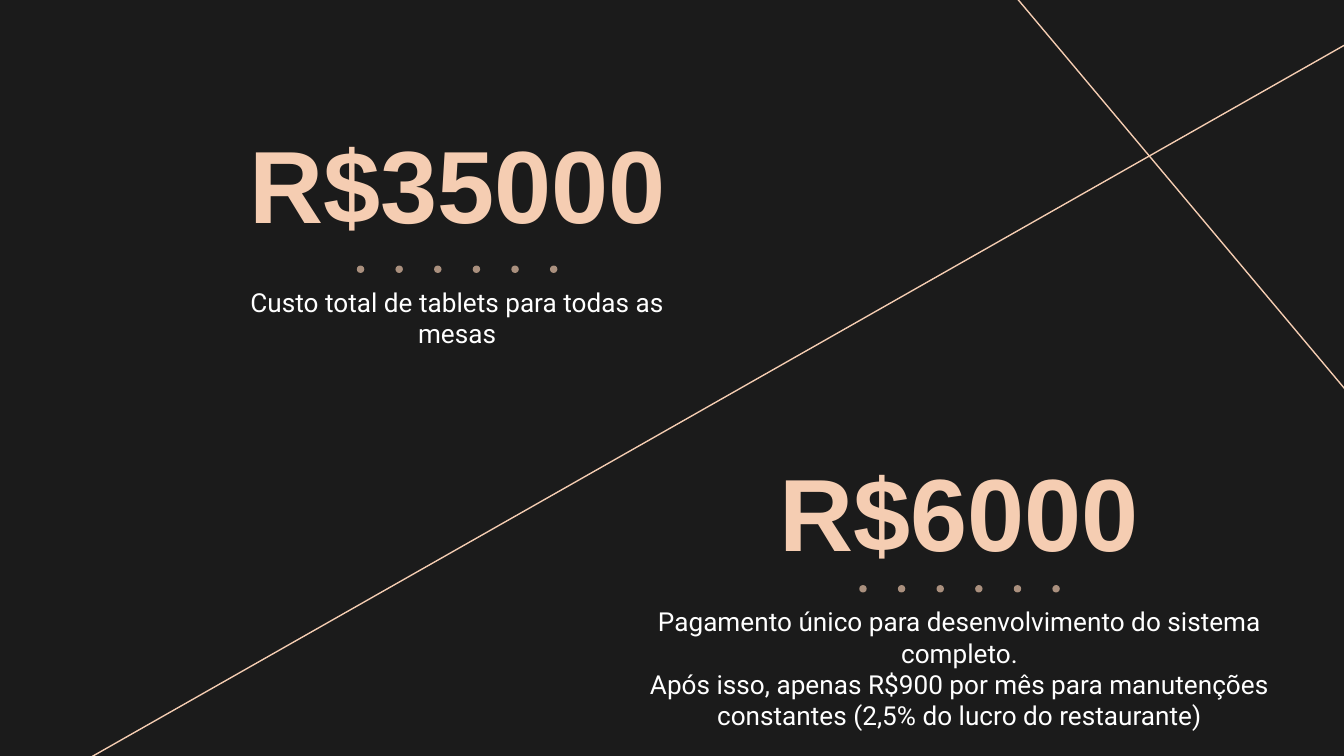
from dataclasses import dataclass

from lxml import etree
from pptx import Presentation
from pptx.dml.color import RGBColor
from pptx.enum.shapes import MSO_CONNECTOR, MSO_SHAPE
from pptx.enum.text import MSO_ANCHOR, MSO_AUTO_SIZE, PP_ALIGN
from pptx.oxml.ns import qn
from pptx.util import Cm, Pt


@dataclass(frozen=True)
class Theme:
    background: RGBColor = RGBColor(0x1B, 0x1B, 0x1B)
    accent: RGBColor = RGBColor(0xF5, 0xCD, 0xB2)
    text: RGBColor = RGBColor(0xFF, 0xFF, 0xFF)
    heading_font: str = "Arial"
    body_font: str = "Roboto"
    heading_size: Pt = Pt(55)
    body_size: Pt = Pt(14)
    line_width: Pt = Pt(0.75)
    dot_opacity: int = 66


@dataclass(frozen=True)
class Box:
    left: float
    top: float
    width: float
    height: float

    @property
    def center(self):
        return self.left + self.width / 2


THEME = Theme()
DOT_COUNT = 6
DOT_SIZE = 0.14
DOT_PITCH = 0.73
DOT_RISE = 0.07


def place(sp, box):
    sp.left, sp.top = Cm(box.left), Cm(box.top)
    sp.width, sp.height = Cm(box.width), Cm(box.height)


def write(sp, text, font, size, color, bold, anchor):
    tf = sp.text_frame
    tf.text = text
    tf.word_wrap = True
    tf.auto_size = MSO_AUTO_SIZE.NONE
    tf.vertical_anchor = anchor
    tf.margin_left = tf.margin_right = tf.margin_top = tf.margin_bottom = Cm(0.25)
    for p in tf.paragraphs:
        p.alignment = PP_ALIGN.CENTER
        for r in p.runs:
            r.font.name, r.font.size, r.font.bold = font, size, bold
            r.font.color.rgb = color


def add_dots(s, center, middle):
    first = center - DOT_PITCH * (DOT_COUNT - 1) / 2
    for i in range(DOT_COUNT):
        sp = s.shapes.add_shape(
            MSO_SHAPE.OVAL,
            Cm(first + i * DOT_PITCH - DOT_SIZE / 2), Cm(middle - DOT_SIZE / 2),
            Cm(DOT_SIZE), Cm(DOT_SIZE),
        )
        sp.shadow.inherit = False
        sp.line.fill.background()
        sp.fill.solid()
        sp.fill.fore_color.rgb = THEME.accent
        color = sp.fill._xPr.find(qn("a:solidFill"))[0]
        etree.SubElement(color, qn("a:alpha"), val=str(THEME.dot_opacity * 1000))


def add_cost(s, heading, amount, amount_box, caption, caption_box):
    place(heading, amount_box)
    write(heading, amount, THEME.heading_font, THEME.heading_size,
          THEME.accent, True, MSO_ANCHOR.BOTTOM)
    sp = s.shapes.add_textbox(0, 0, 0, 0)
    place(sp, caption_box)
    write(sp, caption, THEME.body_font, THEME.body_size,
          THEME.text, False, MSO_ANCHOR.TOP)
    add_dots(s, caption_box.center, caption_box.top - DOT_RISE)


def add_diagonal(s, x1, y1, x2, y2):
    line = s.shapes.add_connector(
        MSO_CONNECTOR.STRAIGHT, Cm(x1), Cm(y1), Cm(x2), Cm(y2))
    line.line.color.rgb = THEME.accent
    line.line.width = THEME.line_width
    etree.SubElement(line._element.spPr, qn("a:effectLst"))


def main():
    prs = Presentation()
    prs.slide_width, prs.slide_height = Cm(25.4), Cm(14.29)
    s = prs.slides.add_slide(prs.slide_layouts[5])
    s.background.fill.solid()
    s.background.fill.fore_color.rgb = THEME.background

    add_diagonal(s, 17.14, -2.51, 31.14, 14.17)
    add_cost(
        s, s.shapes.title,
        "R$35000", Box(1.09, 2.13, 15.11, 2.74),
        "Custo total de tablets para todas as mesas",
        Box(3.99, 5.16, 9.3, 1.6),
    )
    add_cost(
        s, s.shapes.add_textbox(0, 0, 0, 0),
        "R$6000", Box(13.61, 8.53, 9.04, 2.54),
        "Pagamento único para desenvolvimento do sistema completo.\n"
        "Após isso, apenas R$900 por mês para manutenções constantes "
        "(2,5% do lucro do restaurante)",
        Box(11.43, 11.2, 13.41, 1.6),
    )
    add_diagonal(s, -0.76, 15.72, 26.77, 0.08)
    prs.save("out.pptx")


if __name__ == "__main__":
    main()
